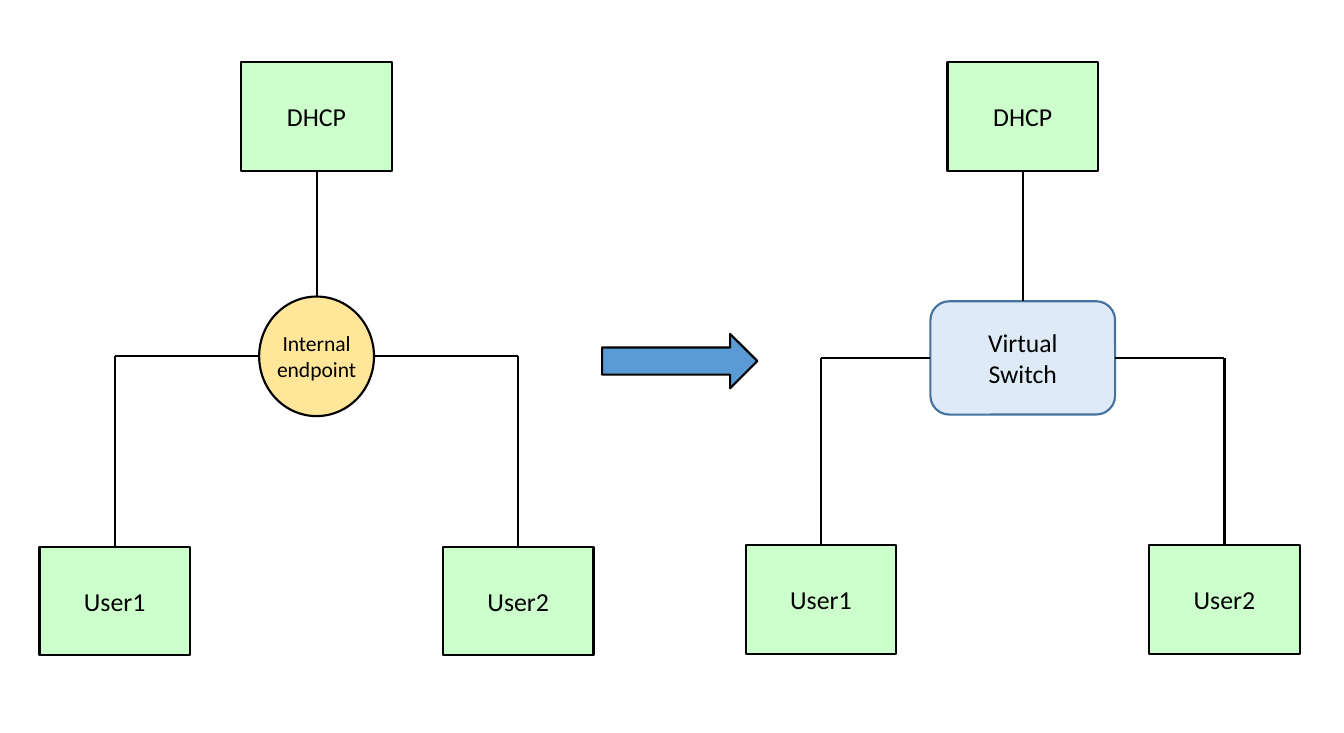
"""Build a slide comparing an internal endpoint network with a virtual switch network."""
from lxml import etree
from pptx import Presentation
from pptx import util as u
from pptx.dml.color import RGBColor
from pptx.enum import shapes, text
from pptx.oxml import ns

KIND = shapes.MSO_SHAPE
BLACK, GREEN = "000000", "CCFFCC"
BOX_SIZE = (0.97, 0.7)
SPREAD = 1.3
DHCP_TOP = 0.4

NETWORKS = [
    {"center": 2.04, "user_top": 3.52, "hub": {
        "label": "Internal endpoint", "kind": KIND.OVAL, "top": 1.91, "size": (0.74, 0.77),
        "fill": "FFE699", "line": BLACK, "points": 10, "insets": (0, 0)}},
    {"center": 6.59, "user_top": 3.51, "hub": {
        "label": "Virtual Switch", "kind": KIND.ROUNDED_RECTANGLE, "top": 1.94, "size": (1.19, 0.73),
        "fill": "DEEBF7", "line": "43739E", "points": 11.9, "insets": (0.1, 0.05)}},
]
USERS = [("User1", -1), ("User2", 1)]
ARROW = {"center": 4.38, "top": 2.15, "size": (1, 0.35)}


def color(hex_value):
    return RGBColor.from_string(hex_value)


def add_block(slide, center, top, size, kind, fill, line=BLACK, label="", points=12, insets=(0.04, 0.04)):
    width, height = size
    block = slide.shapes.add_shape(
        kind, u.Inches(center - width / 2), u.Inches(top), u.Inches(width), u.Inches(height))
    block.shadow.inherit = False
    block.fill.solid()
    block.fill.fore_color.rgb = color(fill)
    block.line.color.rgb = color(line)
    block.line.width = u.Pt(1)
    if label:
        frame = block.text_frame
        frame.word_wrap = True
        frame.vertical_anchor = text.MSO_ANCHOR.MIDDLE
        frame.margin_left = frame.margin_right = u.Inches(insets[0])
        frame.margin_top = frame.margin_bottom = u.Inches(insets[1])
        para = frame.paragraphs[0]
        para.text = label
        para.alignment = text.PP_ALIGN.CENTER
        para.font.name = "Calibri"
        para.font.size = u.Pt(points)
        para.font.color.rgb = color(BLACK)
    return block


def add_link(slide, start, end):
    link = slide.shapes.add_connector(
        shapes.MSO_CONNECTOR.STRAIGHT, *(u.Inches(value) for value in (*start, *end)))
    link.line.color.rgb = color(BLACK)
    link.line.width = u.Pt(1)
    etree.SubElement(link._element.spPr, ns.qn("a:effectLst"))
    return link


def add_network(slide, center, user_top, hub):
    hub_width, hub_height = hub["size"]
    middle = hub["top"] + hub_height / 2
    dhcp = add_block(slide, center, DHCP_TOP, BOX_SIZE, KIND.RECTANGLE, GREEN, label="DHCP")
    hub_block = add_block(slide, center, **hub)

    trunk = add_link(slide, (center, hub["top"]), (center, DHCP_TOP + BOX_SIZE[1]))
    trunk.begin_connect(hub_block, 0)
    trunk.end_connect(dhcp, 2)

    for name, side in USERS:
        user_center = center + side * SPREAD
        user = add_block(slide, user_center, user_top, BOX_SIZE, KIND.RECTANGLE, GREEN, label=name)
        riser = add_link(slide, (user_center, user_top), (user_center, middle))
        riser.begin_connect(user, 0)
        arm = add_link(slide, (center + side * hub_width / 2, middle), (user_center, middle))
        if hub["kind"] == KIND.ROUNDED_RECTANGLE:
            arm.begin_connect(hub_block, 2 + side)


def main():
    deck = Presentation()
    deck.slide_width, deck.slide_height = u.Inches(8.66), u.Inches(4.72)
    slide = deck.slides.add_slide(deck.slide_layouts[6])
    for network in NETWORKS:
        add_network(slide, **network)
    add_block(slide, **ARROW, kind=KIND.RIGHT_ARROW, fill="5B9BD5")
    deck.save("out.pptx")


if __name__ == "__main__":
    main()
